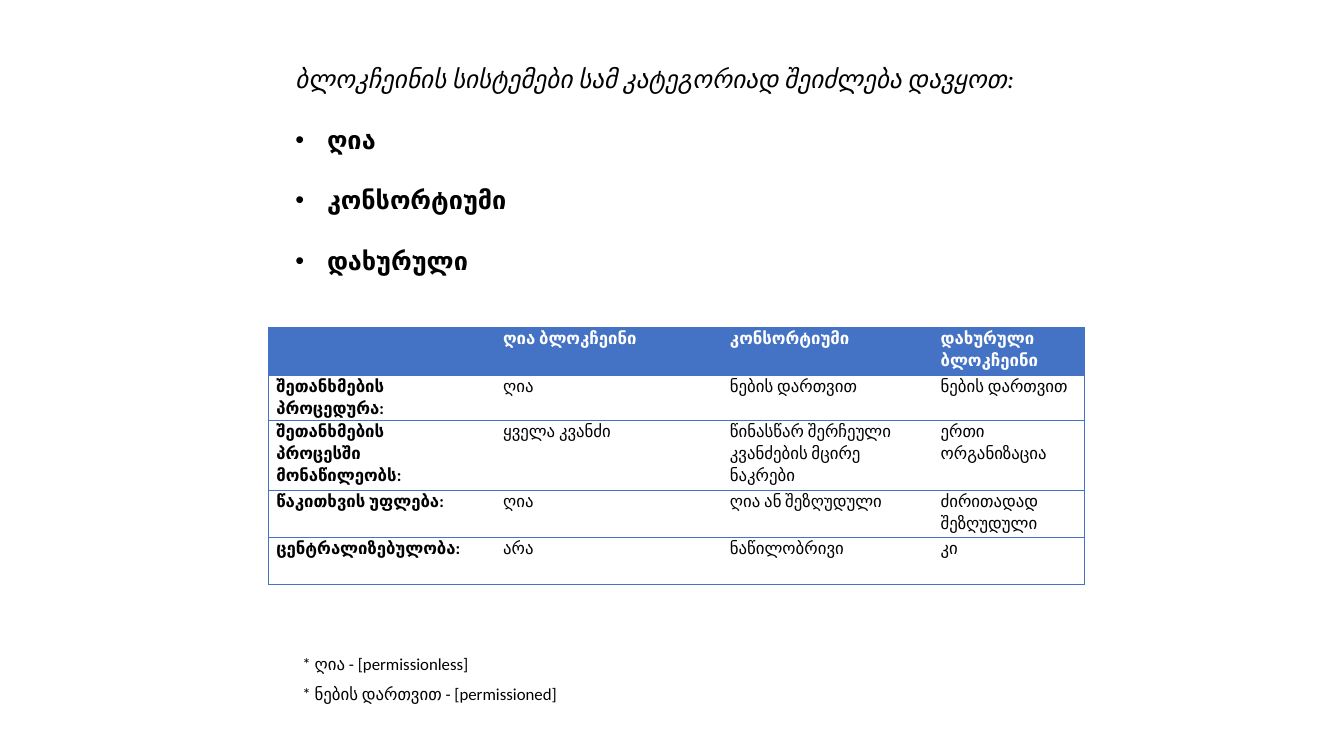
import pptx
import pptx.util
import pptx.dml.color
import pptx.enum.text
import pptx.oxml.ns
import lxml.etree

Pt = pptx.util.Pt
COLORS = {"ink": "000000", "blue": "4472C4", "white": "FFFFFF"}
ALIGN = pptx.enum.text.PP_ALIGN

INTRO = "ბლოკჩეინის სისტემები სამ კატეგორიად შეიძლება დავყოთ:"
CATEGORIES = ["ღია", "კონსორტიუმი", "დახურული"]
COMPARISON = [
    ["", "ღია ბლოკჩეინი", "კონსორტიუმი", "დახურული ბლოკჩეინი"],
    ["შეთანხმების პროცედურა:", "ღია", "ნების დართვით", "ნების დართვით"],
    ["შეთანხმების\nპროცესში მონაწილეობს:", "ყველა კვანძი",
     "წინასწარ შერჩეული კვანძების მცირე ნაკრები", "ერთი ორგანიზაცია"],
    ["წაკითხვის უფლება:", "ღია", "ღია ან შეზღუდული", "ძირითადად შეზღუდული"],
    ["ცენტრალიზებულობა:", "არა", "ნაწილობრივი", "კი"],
]
LEFT_ALIGNED_CELL = (2, 2)
COLUMN_WIDTHS = [162, 162, 150.5, 108]
ROW_HEIGHTS = [33.8, 32.4, 50.2, 33.6, 33.6]
FOOTNOTES = ["* ღია - [permissionless]", "* ნების დართვით - [permissioned]"]


class SlideBuilder:
    font_name = "Calibri"

    def __init__(self, slide):
        self.slide = slide

    def add_run(self, paragraph, text, size, color="ink", bold=False, italic=False):
        run = paragraph.add_run()
        run.text = text
        run.font.name = self.font_name
        run.font.size = Pt(size)
        run.font.bold = bold
        run.font.italic = italic
        run.font.color.rgb = pptx.dml.color.RGBColor.from_string(COLORS[color])

    def add_text_box(self, left, top, width, height, wrap=True):
        shape = self.slide.shapes.add_textbox(Pt(left), Pt(top), Pt(width), Pt(height))
        shape.text_frame.word_wrap = wrap
        shape.text_frame.auto_size = pptx.enum.text.MSO_AUTO_SIZE.SHAPE_TO_FIT_TEXT
        return shape.text_frame

    def add_bullet(self, text_frame, text, size, indent, space_before):
        paragraph = text_frame.add_paragraph()
        properties = paragraph._p.get_or_add_pPr()
        properties.set("marL", str(Pt(indent)))
        properties.set("indent", str(-Pt(indent)))
        for tag, name, value in (("a:buFont", "typeface", "Arial"), ("a:buChar", "char", "•")):
            bullet = lxml.etree.SubElement(properties, pptx.oxml.ns.qn(tag))
            bullet.set(name, value)
        paragraph.space_before = Pt(space_before)
        self.add_run(paragraph, text, size, bold=True)

    def set_borders(self, cell, visible_sides):
        properties = cell._tc.get_or_add_tcPr()
        for side in "LRTB":
            line = lxml.etree.SubElement(properties, pptx.oxml.ns.qn("a:ln" + side))
            line.set("w", str(Pt(0.5)))
            if side in visible_sides:
                fill = lxml.etree.SubElement(line, pptx.oxml.ns.qn("a:solidFill"))
                color = lxml.etree.SubElement(fill, pptx.oxml.ns.qn("a:srgbClr"))
                color.set("val", COLORS["blue"])
            else:
                lxml.etree.SubElement(line, pptx.oxml.ns.qn("a:noFill"))

    def fill_cell(self, cell, text, is_header, is_label, alignment):
        cell.margin_left = cell.margin_right = Pt(5.4)
        cell.margin_top = cell.margin_bottom = Pt(0)
        if is_header:
            cell.fill.solid()
            cell.fill.fore_color.rgb = pptx.dml.color.RGBColor.from_string(COLORS["blue"])
        else:
            cell.fill.background()
        for index, line in enumerate(text.split("\n")):
            paragraph = cell.text_frame.add_paragraph() if index else cell.text_frame.paragraphs[0]
            paragraph.font.size = Pt(12)
            paragraph.alignment = alignment
            paragraph.line_spacing = 1.07
            if line:
                self.add_run(paragraph, line, 12, "white" if is_header else "ink",
                             bold=is_header or is_label)

    def add_table(self, left, top, rows, column_widths, row_heights):
        table = self.slide.shapes.add_table(
            len(rows), len(column_widths), Pt(left), Pt(top),
            Pt(sum(column_widths)), Pt(sum(row_heights))).table
        table.horz_banding = False
        for column, width in zip(table.columns, column_widths):
            column.width = Pt(width)
        for row, height in zip(table.rows, row_heights):
            row.height = Pt(height)
        last_column = len(column_widths) - 1
        for row_index, texts in enumerate(rows):
            for column_index, text in enumerate(texts):
                cell = table.cell(row_index, column_index)
                sides = "TB" + "L" * (column_index == 0) + "R" * (column_index == last_column)
                self.set_borders(cell, sides)
                is_left = (row_index, column_index) == LEFT_ALIGNED_CELL
                self.fill_cell(cell, text, row_index == 0, column_index == 0,
                               ALIGN.LEFT if is_left else ALIGN.JUSTIFY)


def main():
    presentation = pptx.Presentation()
    presentation.slide_width = Pt(960)
    presentation.slide_height = Pt(540)
    builder = SlideBuilder(presentation.slides.add_slide(presentation.slide_layouts[6]))

    categories = builder.add_text_box(204, 42, 534, 160)
    builder.add_run(categories.paragraphs[0], INTRO, 18, italic=True)
    for category in CATEGORIES:
        builder.add_bullet(categories, category, 18, indent=22.5, space_before=21.6)

    builder.add_table(192, 234, COMPARISON, COLUMN_WIDTHS, ROW_HEIGHTS)

    footnotes = builder.add_text_box(209, 456, 201.6, 49, wrap=False)
    for index, footnote in enumerate(FOOTNOTES):
        paragraph = footnotes.add_paragraph() if index else footnotes.paragraphs[0]
        paragraph.line_spacing = 1.5
        builder.add_run(paragraph, footnote, 12)

    presentation.save("out.pptx")


if __name__ == "__main__":
    main()
